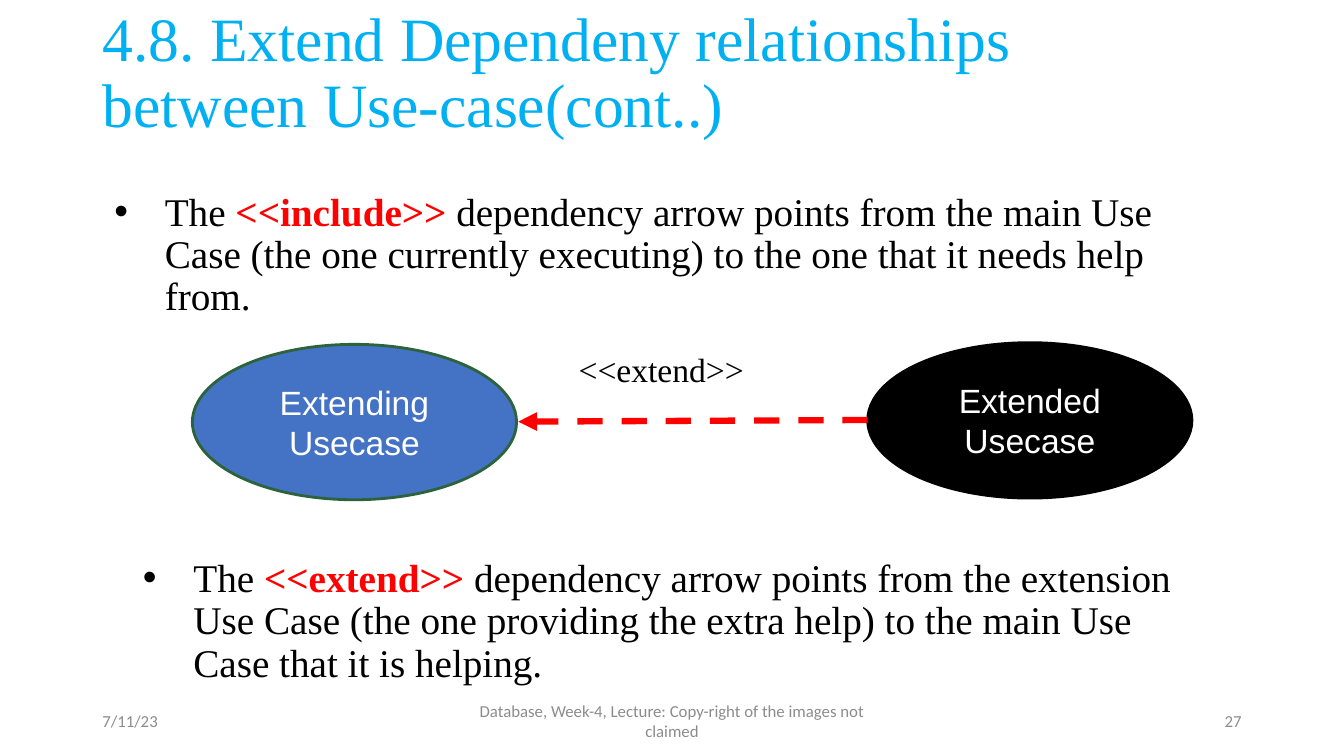
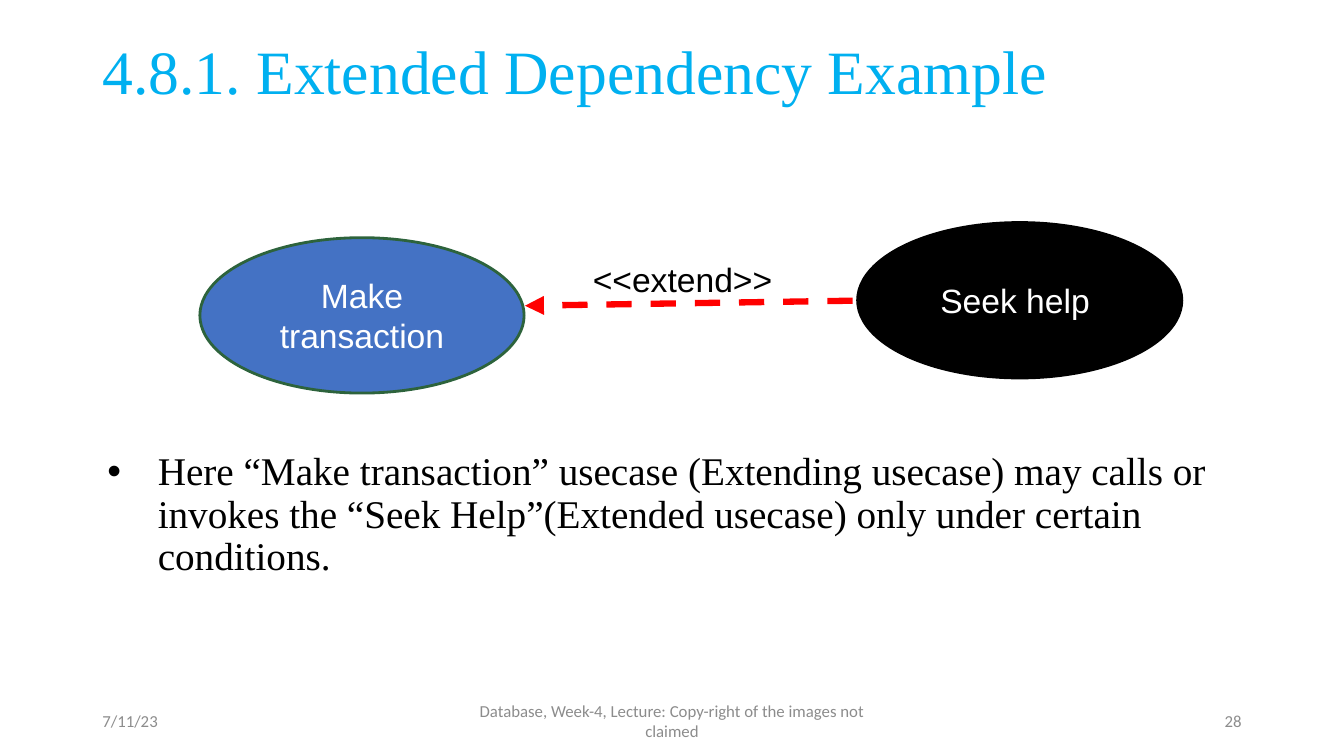
from lxml.etree import SubElement
from pptx import Presentation
from pptx.dml.color import RGBColor
from pptx.enum.dml import MSO_LINE
from pptx.enum.shapes import MSO_CONNECTOR, MSO_SHAPE
from pptx.enum.text import MSO_ANCHOR, PP_ALIGN
from pptx.oxml.ns import qn
from pptx.util import Inches, Pt

SKY = RGBColor(0x00, 0xB0, 0xF0)
GRAY = RGBColor(0x8C, 0x8C, 0x8C)
BLACK = RGBColor(0x00, 0x00, 0x00)
WHITE = RGBColor(0xFF, 0xFF, 0xFF)
RED = RGBColor(0xFF, 0x00, 0x00)
BLUE = RGBColor(0x44, 0x72, 0xC4)
GREEN = RGBColor(0x2D, 0x63, 0x3C)

SERIF, SANS, FOOTER_FONT = "Times New Roman", "Arial", "Calibri"
COLUMNS, ROWS = 160, 90
ELLIPSE = (38.6, 18.5)

TITLE = {"size": Pt(44), "name": SERIF, "color": SKY}
BODY = {"size": Pt(28), "name": SERIF, "color": BLACK}
KEYWORD = {**BODY, "color": RED, "bold": True}
FOOTER = {"size": Pt(12), "name": FOOTER_FONT, "color": GRAY}
NODE = {"size": Pt(24), "name": SANS, "color": WHITE}
LABEL = {"size": Pt(24), "color": BLACK}

DATE = "7/11/23"
NOTICE = "Database, Week-4, Lecture: Copy-right of the images not claimed"


class SlideBuilder:
    """Draws on the current page; all lengths are grid columns and rows."""

    def __init__(self):
        self.deck = Presentation()
        self.deck.slide_width, self.deck.slide_height = Inches(13.33), Inches(7.5)
        self.page = None

    def place(self, *lengths):
        """Turn alternating columns and rows into slide lengths."""
        units = (self.deck.slide_width / COLUMNS, self.deck.slide_height / ROWS)
        return [round(length * units[i % 2]) for i, length in enumerate(lengths)]

    def fill_text(self, shape, spans, anchor=MSO_ANCHOR.TOP, **layout):
        """Fill a shape with one paragraph of (text, format) spans."""
        frame = shape.text_frame
        frame.word_wrap = True
        frame.vertical_anchor = anchor
        para = frame.paragraphs[0]
        for name, value in layout.items():
            setattr(para, name, value)
        for text, style in spans:
            span = para.add_run()
            span.text = text
            for name, value in style.items():
                if name == "color":
                    span.font.color.rgb = value
                else:
                    setattr(span.font, name, value)
        return para

    def text(self, area, spans, **layout):
        box = self.page.shapes.add_textbox(*self.place(*area))
        return self.fill_text(box, spans, **layout)

    def start(self, title, number):
        """Add a page with its title and footers."""
        self.page = self.deck.slides.add_slide(self.deck.slide_layouts[5])
        heading = self.page.shapes.title
        heading.left, heading.top, heading.width, heading.height = self.place(11, 0.2, 135, 17.4)
        self.fill_text(heading, [(title, TITLE)], anchor=MSO_ANCHOR.MIDDLE,
                       alignment=PP_ALIGN.LEFT, line_spacing=0.9)
        footers = (
            (11, 36, DATE, PP_ALIGN.LEFT),
            (53, 54, NOTICE, PP_ALIGN.CENTER),
            (113, 36, str(number), PP_ALIGN.RIGHT),
        )
        for left, width, words, alignment in footers:
            self.text((left, 83.4, width, 4.8), [(words, FOOTER)],
                      anchor=MSO_ANCHOR.MIDDLE, alignment=alignment)

    def bullet(self, left, top, width, spans, indent=0.62):
        para = self.text((left, top, width, 16.4), spans, line_spacing=0.9, space_before=Pt(12))
        properties = para._p.get_or_add_pPr()
        properties.set("marL", str(Inches(indent)))
        properties.set("indent", str(Inches(-0.5)))
        SubElement(properties, qn("a:buFont"), typeface=SANS)
        SubElement(properties, qn("a:buChar"), char="•")

    def use_case(self, left, top, name, fill, outline):
        oval = self.page.shapes.add_shape(MSO_SHAPE.OVAL, *self.place(left, top, *ELLIPSE))
        oval.shadow.inherit = False
        oval.fill.solid()
        oval.fill.fore_color.rgb = fill
        oval.line.color.rgb = outline
        oval.line.width = Pt(2)
        self.fill_text(oval, [(name, NODE)], anchor=MSO_ANCHOR.MIDDLE,
                       alignment=PP_ALIGN.CENTER)

    def arrow(self, start, end):
        link = self.page.shapes.add_connector(MSO_CONNECTOR.STRAIGHT, *self.place(*start, *end))
        link.line.color.rgb = RED
        link.line.width = Pt(4.5)
        link.line.dash_style = MSO_LINE.DASH
        properties = link._element.spPr
        SubElement(properties.find(qn("a:ln")), qn("a:tailEnd"), type="triangle")
        SubElement(properties, qn("a:effectLst"))

    def extend_diagram(self, extending, extended, start, end, label_area, label_font):
        """Draw two use cases, each (left, top, name), joined by an arrow."""
        self.use_case(*extending, BLUE, GREEN)
        self.use_case(*extended, BLACK, BLACK)
        self.arrow(start, end)
        self.text(label_area, [("<<extend>>", {**LABEL, "name": label_font})], line_spacing=0.9)


def relationship_slide(builder):
    builder.start("4.8. Extend Dependeny relationships between Use-case(cont..)", 27)
    builder.bullet(11, 22.3, 135, [
        ("The ", BODY),
        ("<<include>> ", KEYWORD),
        ("dependency arrow points from the main Use Case (the one currently "
         "executing) to the one that it needs help from.", BODY),
    ])
    builder.extend_diagram(
        (22.9, 41, "Extending Usecase"), (103.3, 40.8, "Extended Usecase"),
        start=(103.3, 50), end=(61.7, 50.2),
        label_area=(67.7, 41.5, 26.8, 5.5), label_font=SERIF)
    builder.bullet(14.4, 65.9, 131.5, [
        ("The ", BODY),
        ("<<extend>> ", KEYWORD),
        ("dependency arrow points from the extension Use Case (the one providing "
         "the extra help) to the main Use Case that it is helping.", BODY),
    ])


def example_slide(builder):
    builder.start("4.8.1. Extended Dependency Example", 28)
    builder.extend_diagram(
        (23.8, 28.3, "Make transaction"), (102.1, 26.5, "Seek help "),
        start=(101.5, 35.8), end=(62.5, 36.4),
        label_area=(69.4, 30.8, 26, 5.5), label_font=SANS)
    builder.bullet(11, 53.2, 138, [
        ("Here “Make transaction” usecase (Extending usecase) may calls or invokes "
         "the “Seek Help”(Extended usecase) only under certain conditions.", BODY),
    ], indent=0.55)


def main():
    builder = SlideBuilder()
    relationship_slide(builder)
    example_slide(builder)
    builder.deck.save("out.pptx")


if __name__ == "__main__":
    main()
